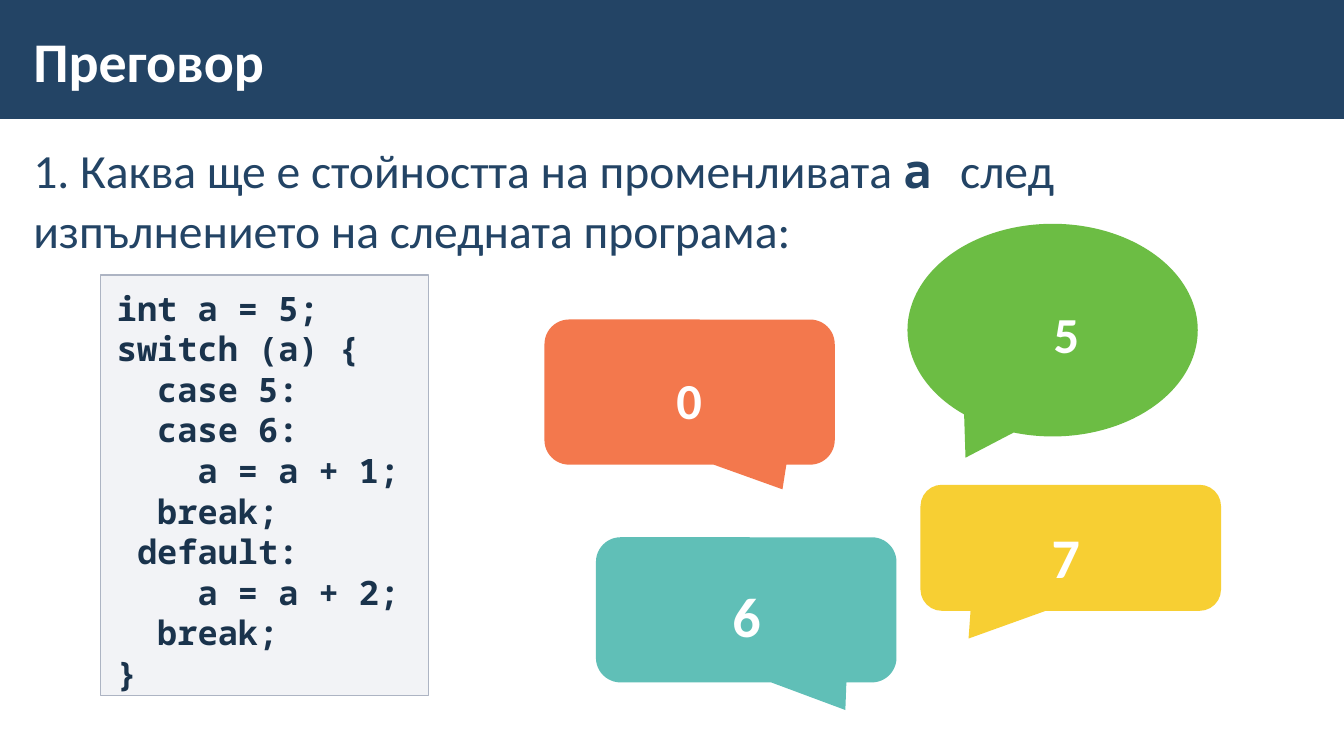
from dataclasses import dataclass

import lxml.etree
import pptx
import pptx.dml.color
import pptx.enum.shapes
import pptx.enum.text
import pptx.oxml.ns
import pptx.util

ALIGN = pptx.enum.text.PP_ALIGN
ANCHOR = pptx.enum.text.MSO_ANCHOR
AUTO_SIZE = pptx.enum.text.MSO_AUTO_SIZE
SHAPE = pptx.enum.shapes.MSO_SHAPE


@dataclass(frozen=True)
class Theme:
    navy: str = "234465"
    white: str = "FFFFFF"
    code_ink: str = "1A334C"
    code_tint: str = "ADB4C3"
    green: str = "6CBD44"
    yellow: str = "F5C300"
    orange: str = "F15721"
    teal: str = "60BFB7"
    text_font: str = "Calibri"
    code_font: str = "Noto Sans Mono"
    title_size: int = 40
    question_size: int = 34
    code_size: int = 24
    code_pitch: int = 29
    answer_size: int = 36
    large_answer_size: int = 40


THEME = Theme()
TEXT_INSETS = (0.12, 0.04)
PANEL_INSETS = (0.16, 0.12)

CODE = """int a = 5;
switch (a) {
  case 5:
  case 6:
    a = a + 1;
  break;
 default:
    a = a + 2;
  break;
}"""


@dataclass(frozen=True)
class Box:
    left: int
    top: int
    width: int
    height: int

    def inner(self, left, top, width, height):
        """Return an inner box, given in percent of this one."""
        return Box(int(self.left + self.width * left / 100),
                   int(self.top + self.height * top / 100),
                   int(self.width * width / 100),
                   int(self.height * height / 100))

    def sides(self):
        return self.left, self.top, self.width, self.height


def place(shape, box):
    shape.left, shape.top, shape.width, shape.height = box.sides()


def paint(fill, color, opacity=100):
    fill.solid()
    fill.fore_color.rgb = pptx.dml.color.RGBColor.from_string(color)
    if opacity < 100:
        color_node = fill._xPr.find(".//" + pptx.oxml.ns.qn("a:srgbClr"))
        alpha = lxml.etree.SubElement(color_node, pptx.oxml.ns.qn("a:alpha"))
        alpha.set("val", str(opacity * 1000))


def set_font(font, name, size, color, bold=False):
    font.name = name
    font.size = pptx.util.Pt(size)
    font.bold = bold
    font.color.rgb = pptx.dml.color.RGBColor.from_string(color)


def set_frame(frame, insets, anchor=ANCHOR.TOP, auto_size=AUTO_SIZE.NONE):
    across, down = map(pptx.util.Inches, insets)
    frame.margin_left = frame.margin_right = across
    frame.margin_top = frame.margin_bottom = down
    frame.word_wrap = True
    frame.vertical_anchor = anchor
    frame.auto_size = auto_size


def remove_bullet(para):
    properties = para._p.get_or_add_pPr()
    properties.set("marL", "0")
    properties.set("indent", "0")
    lxml.etree.SubElement(properties, pptx.oxml.ns.qn("a:buNone"))


def add_plain_shape(shapes, kind, box, color, opacity=100):
    shape = shapes.add_shape(kind, *box.sides())
    shape.shadow.inherit = False
    shape.line.fill.background()
    paint(shape.fill, color, opacity)
    return shape


def build_header(page, box, text):
    # Band behind the title
    band = add_plain_shape(page.shapes, SHAPE.RECTANGLE, box, THEME.navy)
    band.element.getparent().insert(2, band.element)
    # Title
    title = page.shapes.title
    place(title, box.inner(1.58, 9.3, 77.94, 82.2))
    set_frame(title.text_frame, TEXT_INSETS, ANCHOR.MIDDLE)
    title.text_frame.text = text
    para = title.text_frame.paragraphs[0]
    para.alignment = ALIGN.LEFT
    set_font(para.font, THEME.text_font, THEME.title_size, THEME.white, True)


def build_question(placeholder, box):
    place(placeholder, box)
    set_frame(placeholder.text_frame, TEXT_INSETS)
    para = placeholder.text_frame.paragraphs[0]
    para.line_spacing = 1.05
    para.space_before = para.space_after = pptx.util.Pt(6)
    remove_bullet(para)

    def add_span(text, font_name=THEME.text_font, bold=False):
        span = para.add_run()
        span.text = text
        set_font(span.font, font_name, THEME.question_size, THEME.navy, bold)

    add_span("1. Каква ще е стойността на променливата ")
    add_span("а ", THEME.code_font, True)
    add_span("след ")
    para.add_line_break()
    add_span("изпълнението на следната програма:")


def build_code(placeholder, box, code):
    place(placeholder, box)
    paint(placeholder.fill, THEME.code_tint, 15)
    paint(placeholder.line.fill, THEME.code_tint)
    placeholder.line.width = pptx.util.Pt(1)
    frame = placeholder.text_frame
    set_frame(frame, PANEL_INSETS, auto_size=AUTO_SIZE.SHAPE_TO_FIT_TEXT)
    frame.text = code
    for para in frame.paragraphs:
        para.line_spacing = pptx.util.Pt(THEME.code_pitch)
        para.space_before = para.space_after = pptx.util.Pt(0)
        remove_bullet(para)
        set_font(para.font, THEME.code_font, THEME.code_size,
                 THEME.code_ink, True)


def build_answer(page, box, text, kind, tail, color, opacity, label_shares,
                 size, align=ALIGN.CENTER, spacing=1.1, indent=0):
    group = page.shapes.add_group_shape()
    # Speech bubble
    bubble = add_plain_shape(group.shapes, kind, box, color, opacity)
    for index, value in enumerate(tail):
        bubble.adjustments[index] = value
    # Answer on the bubble
    label = group.shapes.add_textbox(*box.inner(*label_shares).sides())
    frame = label.text_frame
    set_frame(frame, PANEL_INSETS, auto_size=AUTO_SIZE.SHAPE_TO_FIT_TEXT)
    frame.margin_left += pptx.util.Inches(indent)
    frame.text = text
    para = frame.paragraphs[0]
    para.alignment = align
    para.line_spacing = spacing
    set_font(para.font, THEME.text_font, size, THEME.white, True)


def build_quiz_page(deck):
    page = deck.slides.add_slide(deck.slide_layouts.get_by_name("Two Content"))
    whole = Box(0, 0, deck.slide_width, deck.slide_height)
    question, code = page.placeholders[1], page.placeholders[2]
    build_header(page, whole.inner(0, 0, 100, 15.73), "Преговор")
    build_question(question, whole.inner(1.58, 17.73, 96.85, 75.6))
    build_code(code, whole.inner(7.5, 36.4, 24.38, 56.93), CODE)

    # Possible answers
    rounded = SHAPE.ROUNDED_RECTANGULAR_CALLOUT
    build_answer(page, whole.inner(67.52, 29.6, 21.6, 28.13), "5",
                 SHAPE.OVAL_CALLOUT, (-0.3, 0.6), THEME.green, 100,
                 (21.5, 31.75, 59.4, 39.8), THEME.answer_size,
                 ALIGN.LEFT, 1.0, 0.67)
    build_answer(page, whole.inner(68.49, 64.13, 22.36, 16.67), "7",
                 rounded, (-0.34, 0.72, 0.17), THEME.yellow, 80,
                 (-1, 15.2, 98.66, 75.2), THEME.large_answer_size)
    build_answer(page, whole.inner(40.51, 42.27, 21.6, 19.2), "0",
                 rounded, (0.32, 0.67, 0.17), THEME.orange, 80,
                 (39.9, 21.5, 31.6, 60.4), THEME.answer_size, ALIGN.LEFT)
    build_answer(page, whole.inner(44.34, 71.07, 22.36, 19.2), "6",
                 rounded, (0.33, 0.69, 0.17), THEME.teal, 100,
                 (5, 17.4, 90.3, 65.3), THEME.large_answer_size)


def main():
    deck = pptx.Presentation()
    deck.slide_width = pptx.util.Inches(13.33)
    deck.slide_height = pptx.util.Inches(7.5)
    build_quiz_page(deck)
    deck.save("out.pptx")


if __name__ == "__main__":
    main()
